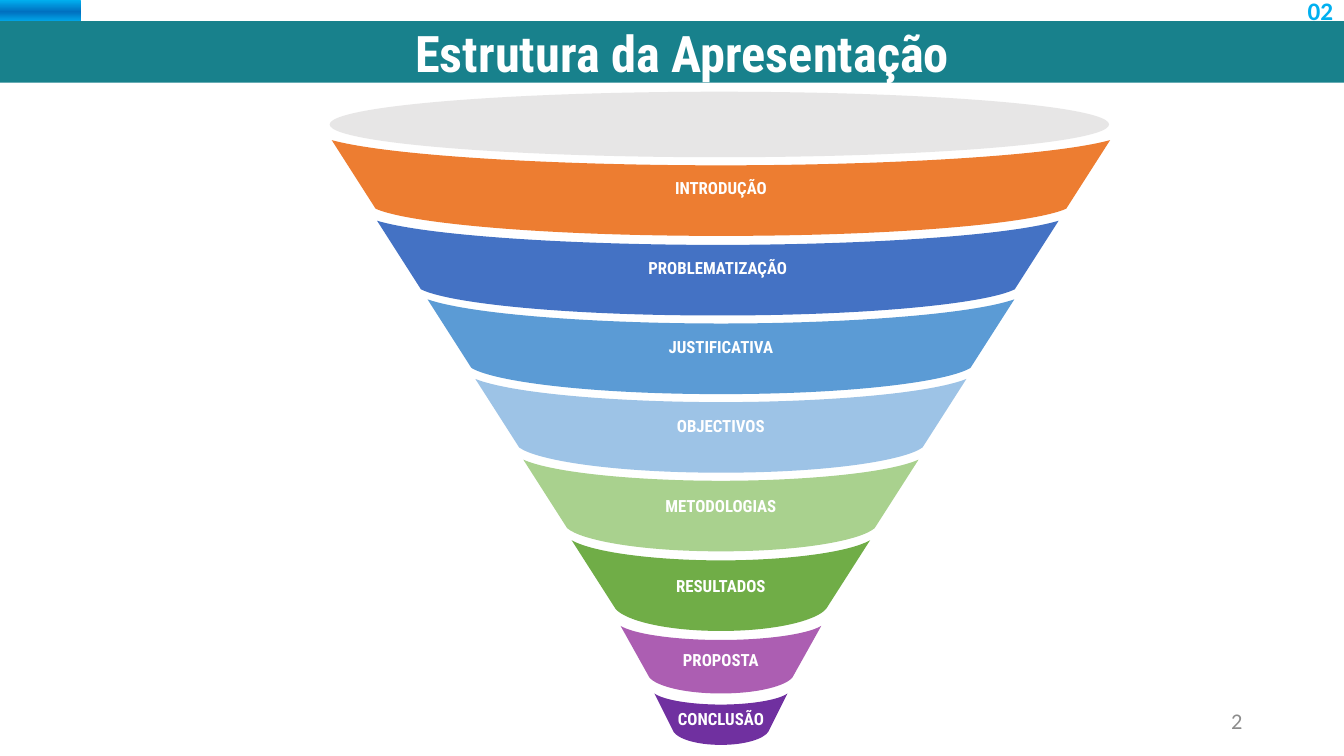
from copy import deepcopy
from dataclasses import dataclass

from pptx import Presentation
from pptx.dml.color import RGBColor
from pptx.enum.shapes import MSO_SHAPE as Preset
from pptx.enum.text import MSO_ANCHOR as Anchor, PP_ALIGN as Align
from pptx.oxml.ns import qn
from pptx.oxml.xmlchemy import OxmlElement
from pptx.util import Inches, Pt

CELL = Inches(0.01)
COLUMNS, ROWS = 1333, 750
HEADING_FONT, NUMBER_FONT = "Roboto Condensed", "Calibri"

WHITE = RGBColor(0xFF, 0xFF, 0xFF)
TEAL = RGBColor(0x18, 0x81, 0x8C)
SKY = RGBColor(0x00, 0xB0, 0xF0)
OCEAN = RGBColor(0x00, 0x70, 0xC0)
GRAY = RGBColor(0x8C, 0x8C, 0x8C)
MOUTH_GRAY = RGBColor(0xE7, 0xE6, 0xE6)
ORANGE = RGBColor(0xED, 0x7D, 0x31)
ROYAL = RGBColor(0x44, 0x72, 0xC4)
BLUE = RGBColor(0x5B, 0x9B, 0xD5)
PALE_BLUE = RGBColor(0x9D, 0xC3, 0xE6)
PALE_GREEN = RGBColor(0xA9, 0xD1, 0x8E)
GREEN = RGBColor(0x70, 0xAD, 0x47)
ORCHID = RGBColor(0xAC, 0x5E, 0xB2)
PURPLE = RGBColor(0x70, 0x30, 0xA0)

TITLE = {"name": HEADING_FONT, "size": Pt(36), "bold": True}
LABEL = {"name": HEADING_FONT, "size": Pt(12), "bold": True}
COUNTER = {"name": NUMBER_FONT, "size": Pt(18), "bold": True}
FOLIO = {"name": NUMBER_FONT, "size": Pt(16), "bold": False}
BAND_FRAME = {
    "word_wrap": True,
    "vertical_anchor": Anchor.MIDDLE,
    "margin_left": 7 * CELL,
    "margin_right": 7 * CELL,
    "margin_top": 4 * CELL,
    "margin_bottom": 4 * CELL,
}


@dataclass
class Band:
    """One funnel band, measured in grid cells from the funnel's top centre."""

    label: str
    color: RGBColor
    top: int
    half: float
    sag: int
    depth: int = 70
    taper: float = 43.5
    shift: int = 0


BANDS = [
    Band("INTRODUÇÃO", ORANGE, 48, 386, 25),
    Band("PROBLEMATIZAÇÃO", ROYAL, 128, 338, 24, shift=-3),
    Band("JUSTIFICATIVA", BLUE, 206, 291, 24),
    Band("OBJECTIVOS", PALE_BLUE, 285, 243.5, 23),
    Band("METODOLOGIAS", PALE_GREEN, 365, 196, 21),
    Band("RESULTADOS", GREEN, 445, 148, 20),
    Band("PROPOSTA", ORCHID, 530, 99.5, 14, 53, 28.5),
    Band("CONCLUSÃO", PURPLE, 597, 66, 11, 40, 19),
]


def cells(*counts):
    """Convert grid cells to slide lengths."""
    return [round(count * CELL) for count in counts]


def assign(target, values):
    """Set every attribute named in a dict of format values."""
    for name, value in values.items():
        setattr(target, name, value)


def write(shape, text, style, color, align=Align.LEFT):
    """Put one formatted line of text in a shape."""
    para = shape.text_frame.paragraphs[0]
    para.alignment = align
    span = para.add_run()
    span.text = text
    assign(span.font, style)
    span.font.color.rgb = color


def paint(shape, color):
    """Give a shape a plain fill without outline or shadow."""
    shape.shadow.inherit = False
    shape.line.fill.background()
    shape.fill.solid()
    shape.fill.fore_color.rgb = color


def add_text(page, box, text, style, color, align=Align.LEFT, **frame):
    """Add a text box with one line of text."""
    shape = page.shapes.add_textbox(*cells(*box))
    assign(shape.text_frame, {"word_wrap": True, **frame})
    write(shape, text, style, color, align)


def add_accent(page, box):
    """Add the corner block with its vertical three-stop gradient."""
    block = page.shapes.add_shape(Preset.RECTANGLE, *cells(*box))
    paint(block, SKY)
    block.fill.gradient()
    block.fill.gradient_angle = 270
    stops = block.element.spPr.find(".//" + qn("a:gsLst"))
    stops.insert(1, deepcopy(stops[0]))
    for stop, color, place in zip(block.fill.gradient_stops, (SKY, OCEAN, SKY), (0, 0.51, 1)):
        stop.color.rgb = color
        stop.position = place


def add_header(page, box):
    """Add the accent block, title bar, title and section counter."""
    left, top, width, height = box
    add_accent(page, (left, top, 80, 23))
    bar = page.shapes.add_shape(Preset.RECTANGLE, *cells(left, top + 21, width, height - 21))
    paint(bar, TEAL)
    add_text(page, (left + 402, top + 17, 635, 71), "Estrutura da Apresentação", TITLE, WHITE)
    add_text(page, (left + width - 46, top - 10, 46, 40), "02", COUNTER, SKY, word_wrap=False)


def band_outline(band):
    """Return the start point, then three control points for each cubic curve."""
    foot = band.half - band.taper
    foot_y = band.top + band.depth - 2
    sag_y = band.top + band.sag
    base_y = sag_y + band.depth
    right_side = [
        (0, sag_y),
        (0.42 * band.half, sag_y),
        (0.85 * band.half, band.top + 0.63 * band.sag),
        (band.half, band.top),
        *[(foot, foot_y)] * 3,
        (0.91 * foot, foot_y + 0.52 * (base_y - foot_y)),
        (0.53 * foot, base_y),
        (0, base_y),
    ]
    left_side = [(-x, y) for x, y in reversed(right_side[:-1])]
    return right_side + left_side


def bend(shape):
    """Turn each three straight segments of a freeform into one cubic curve."""
    segments = list(shape.element.iter(qn("a:lnTo")))
    for first in range(0, len(segments), 3):
        trio = segments[first:first + 3]
        curve = OxmlElement("a:cubicBezTo")
        trio[0].addprevious(curve)
        for segment in trio:
            curve.append(segment[0])
            segment.getparent().remove(segment)


def add_band(group, center, top, band):
    """Add one labelled funnel band to the group."""
    points = [cells(center + x, top + y) for x, y in band_outline(band)]
    builder = group.shapes.build_freeform(*points[0])
    builder.add_line_segments(points[1:], close=True)
    shape = builder.convert_to_shape()
    bend(shape)
    paint(shape, band.color)
    assign(shape.text_frame, BAND_FRAME)
    write(shape, band.label, LABEL, WHITE, Align.CENTER)


def add_funnel(page, box):
    """Add the funnel's mouth and its bands."""
    left, top, width, _ = box
    group = page.shapes.add_group_shape()
    for band in BANDS:
        add_band(group, left + width / 2 + band.shift, top, band)
    mouth = group.shapes.add_shape(Preset.OVAL, *cells(left, top, width - 3, 65))
    paint(mouth, MOUTH_GRAY)


def add_footer(page, box):
    """Add the page number."""
    add_text(page, box, "2", FOLIO, GRAY, Align.RIGHT, vertical_anchor=Anchor.MIDDLE)


def main():
    """Build and save the deck."""
    deck = Presentation()
    deck.slide_width, deck.slide_height = cells(COLUMNS, ROWS)
    page = deck.slides.add_slide(deck.slide_layouts[6])
    add_header(page, (0, 0, COLUMNS, 82))
    add_funnel(page, (327, 91, 776, 648))
    add_footer(page, (942, 695, 300, 40))
    deck.save("out.pptx")


if __name__ == "__main__":
    main()
